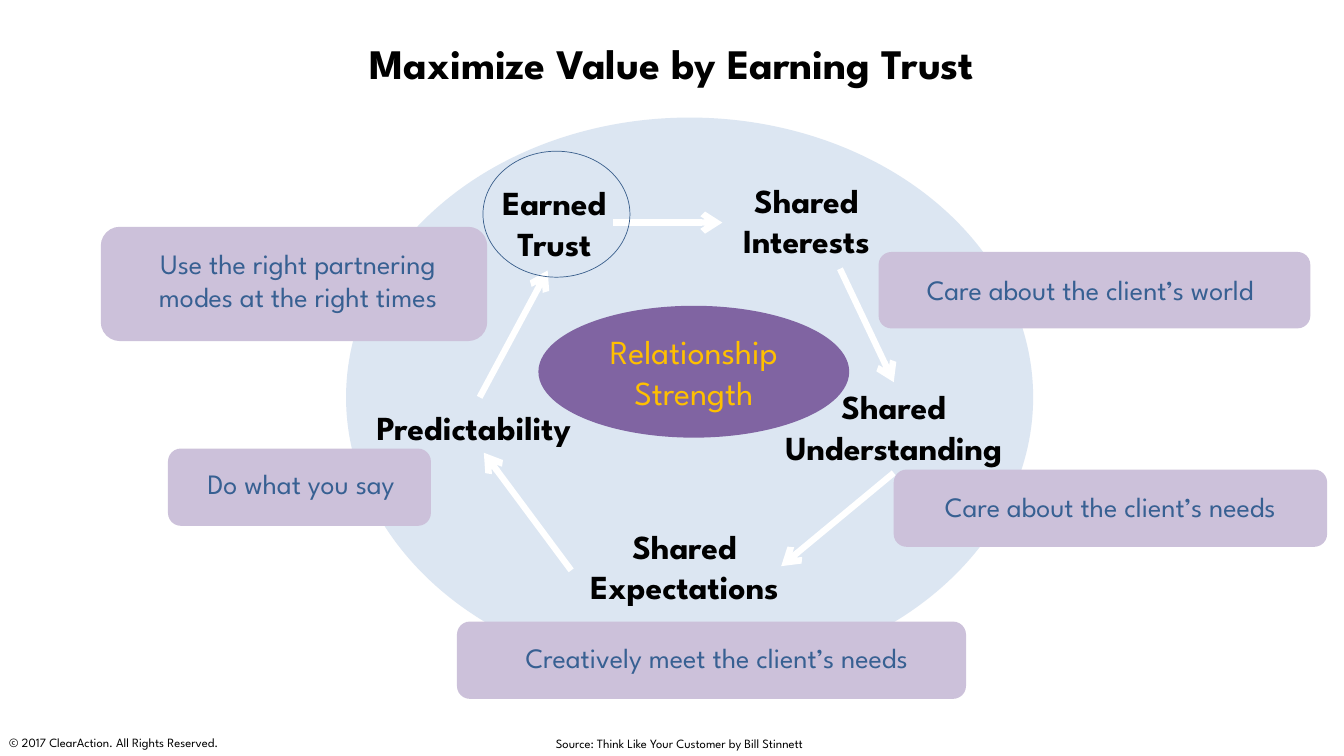
"""Build the slide on earning trust: a cycle of five steps around relationship strength."""
from dataclasses import dataclass

from lxml.etree import SubElement
from pptx import Presentation
from pptx.dml.color import RGBColor
from pptx.enum.shapes import MSO_CONNECTOR as Connector, MSO_SHAPE as Preset
from pptx.enum.text import MSO_ANCHOR as Anchor, MSO_AUTO_SIZE as AutoSize, PP_ALIGN as Align
from pptx.oxml.ns import qn
from pptx.util import Inches, Pt


@dataclass(frozen=True)
class Theme:
    font: str = "League Spartan"
    black: str = "000000"
    white: str = "FFFFFF"
    disc: str = "DCE6F2"
    hub: str = "8064A2"
    gold: str = "FFC000"
    ring: str = "3A5F8C"
    pill: str = "CCC1DA"
    advice: str = "376092"
    title_size: float = 30
    step_size: float = 24
    advice_size: float = 20
    footer_size: float = 9
    arrow_width: float = 4.5
    ring_width: float = 0.5


THEME = Theme()
COLUMNS, ROWS = 160, 90
CELL = Inches(1) / 12

TITLE = ("Maximize Value by Earning Trust", (20, 1, 120, 13))
DISC = (41.2, 14, 81.8, 66.6)
HUB = ("Relationship Strength", (64.1, 36.4, 37, 15.7))
RING = (57.5, 18, 17.5, 15)
STEPS = [
    (["Shared", "Interests"], (86, 20.8, 20, 10.9)),
    (["Shared", "Understanding"], (91, 45.4, 30.8, 10.9)),
    (["Shared", "Expectations"], (66.1, 62, 30.8, 10.9)),
    (["Predictability"], (41, 47.8, 30.8, 6)),
    (["Earned", "Trust"], (56, 21.1, 20, 10.9)),
]
ARROWS = [
    (100, 32, 106.4, 45.5),
    (106.4, 56.3, 93, 67.4),
    (68, 67.9, 57.6, 53.9),
    (57.1, 47.3, 65.2, 32.2),
    (73, 26.5, 86, 26.5),
]
ADVICE = [
    ("Care about the client’s world", (104.6, 30, 51.4, 9.1), (102.6, 31.8, 54.4, 5.3)),
    ("Care about the client’s needs", (106.4, 55.9, 51.6, 9.2), (106, 57.7, 52.4, 5.3)),
    ("Creatively meet the client’s needs", (54.4, 74, 60.6, 9.2), (55.6, 75.7, 59.5, 5.3)),
    ("Do what you say", (20, 53.4, 31.3, 9.2), (19.6, 55, 32.5, 5.3)),
    ("Use the right partnering modes at the right times", (12, 27, 46, 13.6), (14, 28.7, 43, 9.2)),
]
FOOTERS = [
    ("Source: Think Like Your Customer by Bill Stinnett", (65, 87, 43, 3)),
    ("© 2017 ClearAction. All Rights Reserved.", (-0.1, 86.8, 56, 3.2)),
]


def grid(cells):
    return [round(cell * CELL) for cell in cells]


def color(value):
    return RGBColor.from_string(value)


def write(shape, lines, size, ink, align=Align.CENTER, bold=False, after=0, **frame_format):
    frame = shape.text_frame
    for name, value in {"word_wrap": True, **frame_format}.items():
        setattr(frame, name, value)
    for index, line in enumerate(lines):
        paragraph = frame.add_paragraph() if index else frame.paragraphs[0]
        paragraph.alignment = align
        paragraph.space_after = Pt(after)
        run = paragraph.add_run()
        run.text = line
        run.font.color.rgb = color(ink)
        for name, value in {"name": THEME.font, "size": Pt(size), "bold": bold}.items():
            setattr(run.font, name, value)


def add_text(slide, lines, box, size, ink, **text_format):
    write(slide.shapes.add_textbox(*grid(box)), lines, size, ink, **text_format)


def add_figure(slide, preset, box, fill=None, line=None):
    shape = slide.shapes.add_shape(preset, *grid(box))
    shape.shadow.inherit = False
    if fill:
        shape.fill.solid()
        shape.fill.fore_color.rgb = color(fill)
    else:
        shape.fill.background()
    if line:
        shape.line.color.rgb = color(line)
        shape.line.width = Pt(THEME.ring_width)
    else:
        shape.line.fill.background()
    return shape


def add_arrow(slide, ends):
    arrow = slide.shapes.add_connector(Connector.STRAIGHT, *grid(ends))
    arrow.line.color.rgb = color(THEME.white)
    arrow.line.width = Pt(THEME.arrow_width)
    SubElement(arrow.line._get_or_add_ln(), qn("a:tailEnd"), type="arrow")
    SubElement(arrow._element.spPr, qn("a:effectLst"))


def main():
    presentation = Presentation()
    presentation.slide_width, presentation.slide_height = grid((COLUMNS, ROWS))
    slide = presentation.slides.add_slide(presentation.slide_layouts[6])

    add_figure(slide, Preset.OVAL, DISC, fill=THEME.disc)
    title, box = TITLE
    add_text(slide, [title], box, THEME.title_size, THEME.black,
             bold=True, vertical_anchor=Anchor.MIDDLE)
    for lines, box in STEPS:
        add_text(slide, lines, box, THEME.step_size, THEME.black,
                 bold=True, auto_size=AutoSize.SHAPE_TO_FIT_TEXT)
    for ends in ARROWS:
        add_arrow(slide, ends)

    label, box = HUB
    hub = add_figure(slide, Preset.OVAL, box, fill=THEME.hub)
    write(hub, [label], THEME.step_size, THEME.gold, vertical_anchor=Anchor.MIDDLE)
    add_figure(slide, Preset.OVAL, RING, line=THEME.ring)

    for advice, pill, box in ADVICE:
        add_figure(slide, Preset.ROUNDED_RECTANGLE, pill, fill=THEME.pill)
        add_text(slide, [advice], box, THEME.advice_size, THEME.advice,
                 after=18, auto_size=AutoSize.SHAPE_TO_FIT_TEXT)
    for footer, box in FOOTERS:
        add_text(slide, [footer], box, THEME.footer_size, THEME.black,
                 align=Align.LEFT, vertical_anchor=Anchor.MIDDLE)

    presentation.save("out.pptx")


if __name__ == "__main__":
    main()
